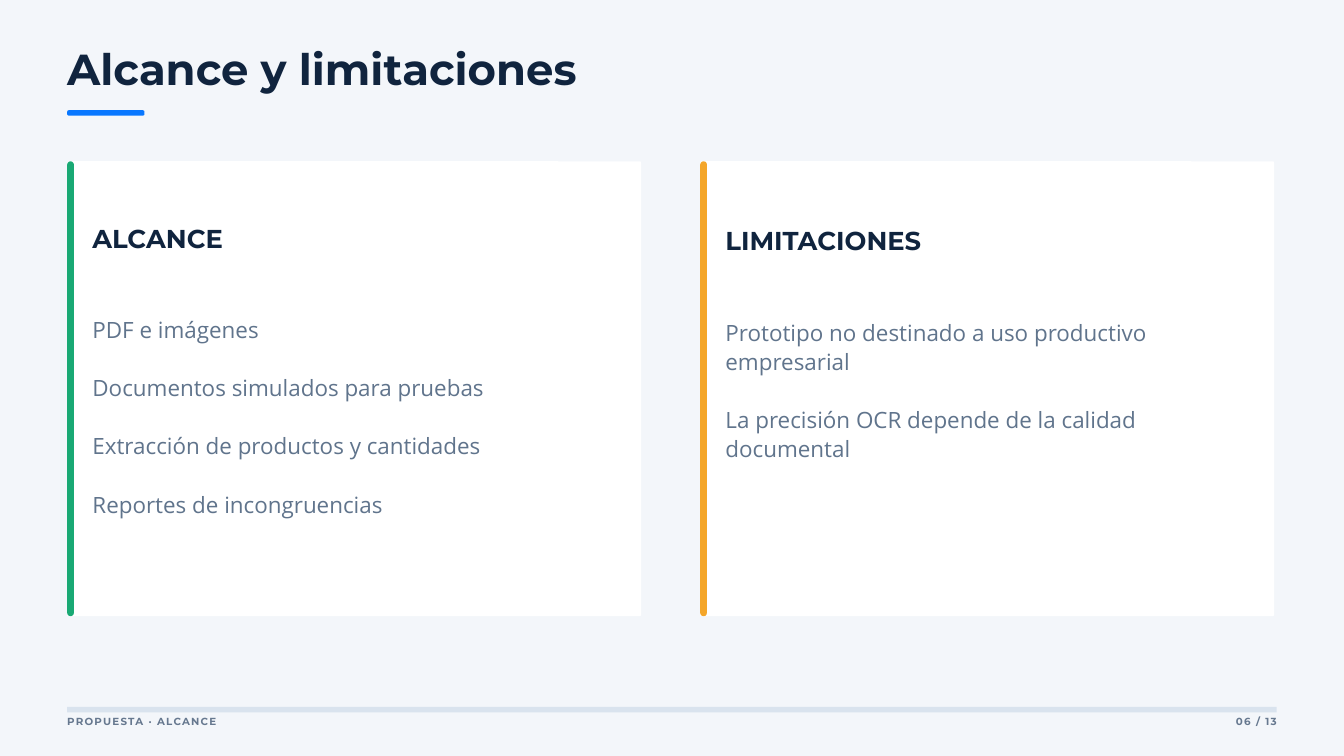
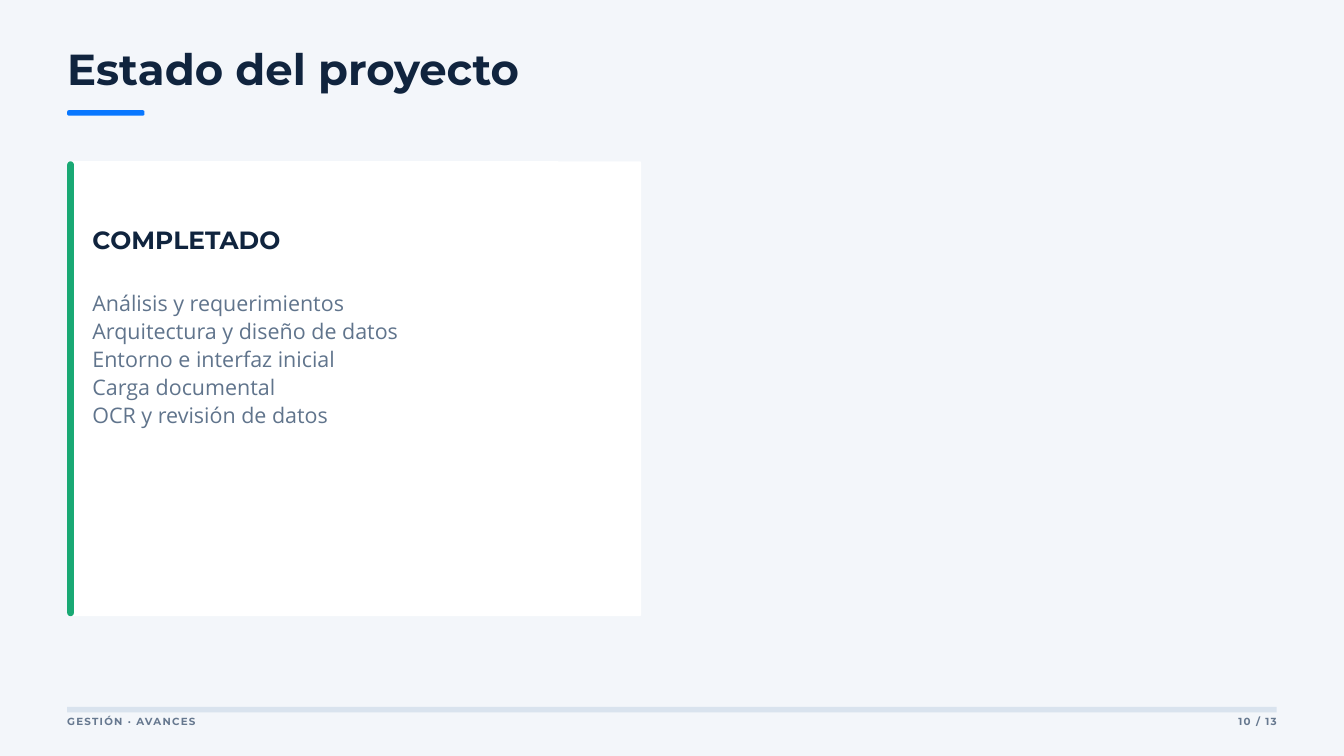
from pptx import Presentation
from pptx.dml.color import RGBColor
from pptx.enum.shapes import MSO_SHAPE as SHAPE
from pptx.enum.text import PP_ALIGN as ALIGN
from pptx.util import Inches, Pt

BACKGROUND = RGBColor(0xF3, 0xF6, 0xFA)
NAVY = RGBColor(0x10, 0x24, 0x3E)
BLUE = RGBColor(0x08, 0x77, 0xFF)
WHITE = RGBColor(0xFF, 0xFF, 0xFF)
GREEN = RGBColor(0x19, 0xA9, 0x74)
ORANGE = RGBColor(0xF4, 0xA6, 0x2A)
SLATE = RGBColor(0x60, 0x74, 0x8C)
FOOTER_GREY = RGBColor(0x66, 0x78, 0x8F)
RULE_GREY = RGBColor(0xD9, 0xE3, 0xEE)

HEAD_FONT, BODY_FONT = "Montserrat", "Open Sans"
WIDTH, HEIGHT = 20, 11.25
MARGIN = WIDTH / 20
CONTENT_W = WIDTH - 2 * MARGIN
CARD_TOP, CARD_W, CARD_H = 2.4, 8.54, 6.77
COLUMN_STEP = 9.42
TEXT_INSET, TEXT_W = 0.375, 7.81
FOOTER_TOP, PAGE_W = 10.52, 1.92
TOTAL_PAGES = 13


def add_text(slide, lines, x, y, w, h, size, font=HEAD_FONT, color=NAVY,
             bold=True, leading=1.4, gap=0, spacing=0, align=ALIGN.LEFT):
    """Add one paragraph per line; leading is a multiple of size, gap is in points."""
    box = slide.shapes.add_textbox(Inches(x), Inches(y), Inches(w), Inches(h))
    tf = box.text_frame
    tf.word_wrap = True
    tf.margin_left = tf.margin_right = tf.margin_top = tf.margin_bottom = 0
    for i, line in enumerate(lines):
        p = tf.add_paragraph() if i else tf.paragraphs[0]
        p.alignment = align
        p.line_spacing = Pt(round(size * leading, 1))
        if i and gap:
            p.space_before = Pt(gap)
        r = p.add_run()
        r.text = line
        r.font.name, r.font.size, r.font.bold = font, Pt(size), bold
        r.font.color.rgb = color
        if spacing:
            r.font._element.set("spc", str(round(spacing * 100)))


def add_block(slide, x, y, w, h, color, radius=0):
    """Add a plain filled block; radius is a share of its shorter side."""
    kind = SHAPE.ROUNDED_RECTANGLE if radius else SHAPE.RECTANGLE
    sp = slide.shapes.add_shape(kind, Inches(x), Inches(y), Inches(w), Inches(h))
    sp.shadow.inherit = False
    sp.fill.solid()
    sp.fill.fore_color.rgb = color
    sp.line.fill.background()
    if radius:
        sp.adjustments[0] = radius


def add_card(slide, column, color, heading, items, heading_y, body_y,
             heading_size=27.7, body_size=24, gap=0):
    x = MARGIN + column * COLUMN_STEP
    add_block(slide, x, CARD_TOP, CARD_W, CARD_H, WHITE, radius=0.003)
    add_block(slide, x, CARD_TOP, 0.1, CARD_H, color, radius=0.5)
    text_x = x + TEXT_INSET
    add_text(slide, [heading], text_x, heading_y, TEXT_W, 0.5, heading_size)
    add_text(slide, items, text_x, body_y, TEXT_W, 2.5, body_size, font=BODY_FONT,
             color=SLATE, bold=False, leading=1.3, gap=gap)


def add_footer(slide, section, page):
    add_block(slide, MARGIN, FOOTER_TOP, CONTENT_W, 0.08, RULE_GREY)
    style = dict(size=11, color=FOOTER_GREY, spacing=1.3)
    y = FOOTER_TOP + 0.09
    add_text(slide, [section], MARGIN, y, 7.5, 0.21, **style)
    add_text(slide, [f"{page:02} / {TOTAL_PAGES}"], WIDTH - MARGIN - PAGE_W, y,
             PAGE_W, 0.21, align=ALIGN.RIGHT, **style)


def add_slide(prs, title, section, page):
    slide = prs.slides.add_slide(prs.slide_layouts[6])
    slide.background.fill.solid()
    slide.background.fill.fore_color.rgb = BACKGROUND
    add_text(slide, [title], MARGIN, 0.71, 15.62, 0.7, 46.5, leading=1.08)
    add_block(slide, MARGIN, 1.64, 1.15, 0.08, BLUE, radius=0.3)
    add_footer(slide, section, page)
    return slide


def main():
    prs = Presentation()
    prs.slide_width, prs.slide_height = Inches(WIDTH), Inches(HEIGHT)

    scope = add_slide(prs, "Alcance y limitaciones", "PROPUESTA · ALCANCE", 6)
    add_card(scope, 0, GREEN, "ALCANCE",
             ["PDF e imágenes", "Documentos simulados para pruebas",
              "Extracción de productos y cantidades", "Reportes de incongruencias"],
             heading_y=3.23, body_y=4.67, gap=31.2)
    add_card(scope, 1, ORANGE, "LIMITACIONES",
             ["Prototipo no destinado a uso productivo empresarial",
              "La precisión OCR depende de la calidad documental"],
             heading_y=3.26, body_y=4.71, gap=31.2)

    status = add_slide(prs, "Estado del proyecto", "GESTIÓN · AVANCES", 10)
    add_card(status, 0, GREEN, "COMPLETADO",
             ["Análisis y requerimientos", "Arquitectura y diseño de datos",
              "Entorno e interfaz inicial", "Carga documental",
              "OCR y revisión de datos"],
             heading_y=3.27, body_y=4.29, heading_size=26.7, body_size=23)

    prs.save("out.pptx")


if __name__ == "__main__":
    main()
